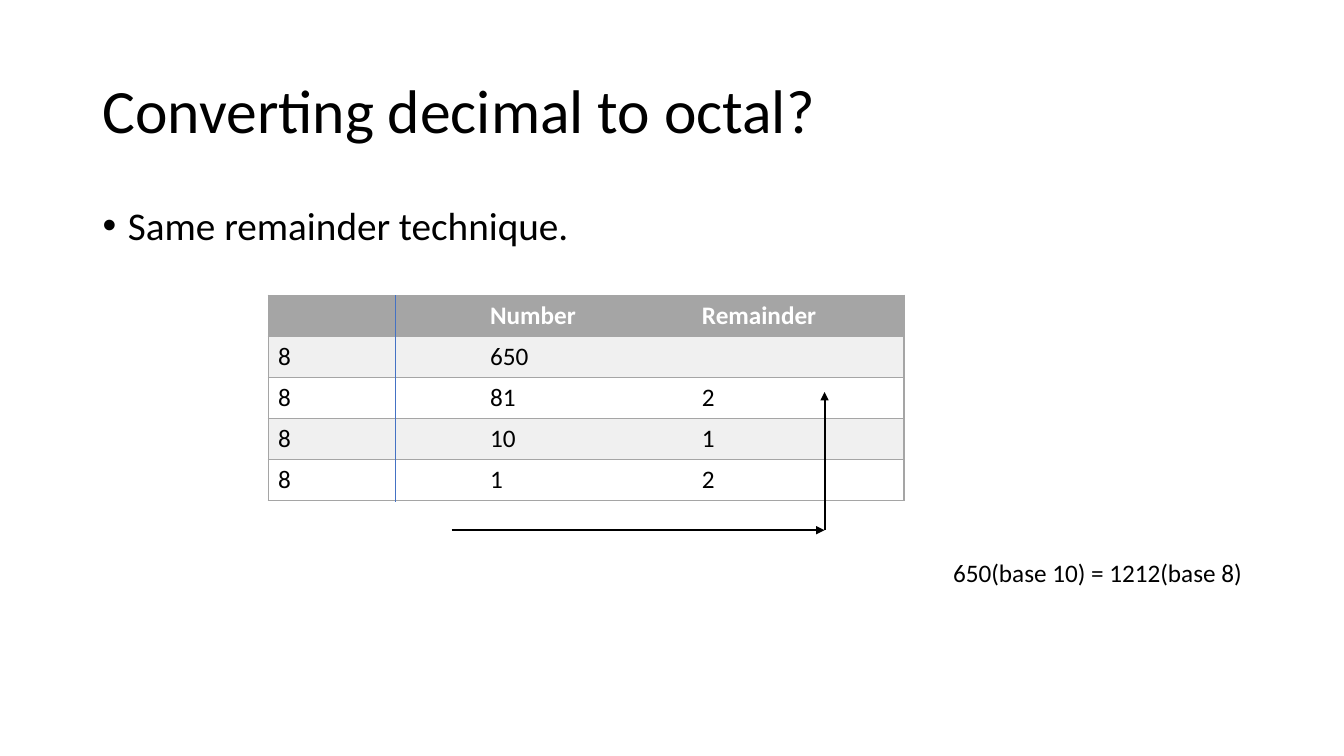
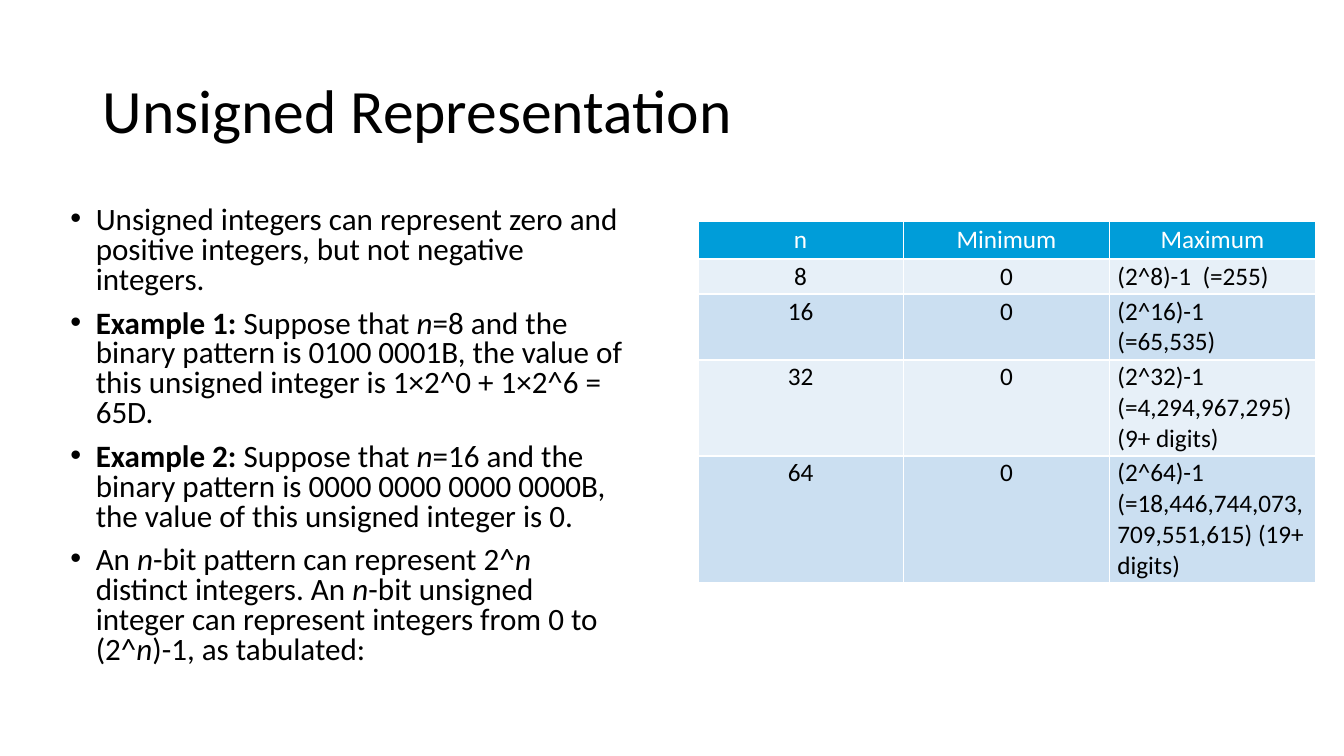
import lxml.etree
import pptx
import pptx.dml.color
import pptx.enum.shapes
import pptx.enum.text
import pptx.oxml.ns
import pptx.util

Cm = pptx.util.Cm
Pt = pptx.util.Pt
Align = pptx.enum.text.PP_ALIGN
qn = pptx.oxml.ns.qn

BLACK, WHITE, GREY, LIGHT_GREY = "000000", "FFFFFF", "A5A5A5", "F0F0F0"
BLUE, PALE_BLUE, MID_BLUE, RULE_BLUE = "009DD9", "E7F0F8", "CBDFF1", "4472C4"
PLAIN_TABLE_STYLE = "{2D5ABB26-0587-4C30-8999-92F81FD0307C}"


def rgb(value):
    return pptx.dml.color.RGBColor.from_string(value)


def add_xml(parent, tag, **attributes):
    return lxml.etree.SubElement(parent, qn(tag), attributes)


class Deck:
    """Holds the presentation, its style and the slide being built."""

    font = "Calibri"
    text_size = 18
    title_size = 44
    title_box = (2.33, 1.02, 29.21, 3.68)

    def __init__(self):
        self.presentation = pptx.Presentation()
        self.presentation.slide_width = Cm(33.87)
        self.presentation.slide_height = Cm(19.05)
        self.slide = None

    def add_slide(self, title):
        layout = self.presentation.slide_layouts[1]
        self.slide = self.presentation.slides.add_slide(layout)
        shape = self.slide.shapes.title
        frame = self.place(shape, self.title_box)
        frame.vertical_anchor = pptx.enum.text.MSO_ANCHOR.MIDDLE
        paragraph = frame.paragraphs[0]
        paragraph.alignment = Align.LEFT
        paragraph.line_spacing = 0.9
        self.add_run(paragraph, title, self.title_size)

    def place(self, shape, box):
        """Move a text shape to a box in centimetres and return its text frame."""
        shape.left, shape.top, shape.width, shape.height = map(Cm, box)
        shape.text_frame.word_wrap = True
        shape.text_frame.auto_size = pptx.enum.text.MSO_AUTO_SIZE.NONE
        return shape.text_frame

    def add_run(self, paragraph, text, size=text_size, color=BLACK, style=""):
        """Add a run; style may contain b for bold and i for italic."""
        run = paragraph.add_run()
        run.text = text
        run.font.name = self.font
        run.font.size = Pt(size)
        run.font.color.rgb = rgb(color)
        run.font.bold = "b" in style
        run.font.italic = "i" in style

    def add_bullets(self, box, items, size, line_spacing):
        """Fill the body placeholder; each item is a list of (text, style) runs."""
        frame = self.place(self.slide.placeholders[1], box)
        for index, runs in enumerate(items):
            paragraph = frame.add_paragraph() if index else frame.paragraphs[0]
            paragraph.alignment = Align.LEFT
            paragraph.line_spacing = line_spacing
            paragraph.space_before = Pt(10)
            properties = paragraph._p.get_or_add_pPr()
            properties.set("marL", str(Cm(0.64)))
            properties.set("indent", str(-Cm(0.64)))
            add_xml(properties, "a:buFont", typeface="Arial")
            add_xml(properties, "a:buChar", char="•")
            for text, style in runs:
                self.add_run(paragraph, text, size, style=style)

    def add_text(self, box, text):
        shape = self.slide.shapes.add_textbox(*map(Cm, box))
        frame = self.place(shape, box)
        self.add_run(frame.paragraphs[0], text)

    def add_line(self, start, end, color=BLACK, width=1.5, arrow=True):
        connector = self.slide.shapes.add_connector(
            pptx.enum.shapes.MSO_CONNECTOR.STRAIGHT, *map(Cm, start + end))
        connector.line.color.rgb = rgb(color)
        connector.line.width = Pt(width)
        if arrow:
            add_xml(connector.line._get_or_add_ln(), "a:tailEnd", type="triangle")
        add_xml(connector._element.spPr, "a:effectLst")

    def add_table(self, position, column_width, row_heights, rows):
        """Add an unstyled table and yield (row, column, cell, text) for each cell."""
        width = column_width * len(rows[0])
        table = self.slide.shapes.add_table(
            len(rows), len(rows[0]),
            *map(Cm, position + (width, sum(row_heights)))).table
        table._tbl.tblPr.find(qn("a:tableStyleId")).text = PLAIN_TABLE_STYLE
        for column in table.columns:
            column.width = Cm(column_width)
        for row, height in zip(table.rows, row_heights):
            row.height = Cm(height)
        for row_index, texts in enumerate(rows):
            for column_index, text in enumerate(texts):
                cell = table.cell(row_index, column_index)
                yield row_index, column_index, cell, text

    def format_cell(self, cell, text, fill, color=BLACK, style="",
                    alignment=Align.LEFT, margins=(0.25, 0.13),
                    border=GREY, border_width=1, sides="LRTB"):
        """Fill, border and write a cell; margins are (horizontal, vertical)."""
        properties = cell._tc.get_or_add_tcPr()
        for side in sides:
            line = add_xml(properties, "a:ln" + side, w=str(Pt(border_width)))
            add_xml(add_xml(line, "a:solidFill"), "a:srgbClr", val=border)
        cell.fill.solid()
        cell.fill.fore_color.rgb = rgb(fill)
        cell.margin_left = cell.margin_right = Cm(margins[0])
        cell.margin_top = cell.margin_bottom = Cm(margins[1])
        paragraph = cell.text_frame.paragraphs[0]
        paragraph.alignment = alignment
        if text:
            self.add_run(paragraph, text, color=color, style=style)


def build_octal_slide(deck):
    deck.add_slide("Converting decimal to octal?")
    deck.add_bullets((2.33, 5.08, 29.21, 12.09),
                     [[("Same remainder technique.", "")]], 28, 0.9)
    rows = [
        ("", "Number", "Remainder"),
        ("8", "650", ""),
        ("8", "81", "2"),
        ("8", "10", "1"),
        ("8", "1", "2"),
    ]
    outer_sides = ("LTB", "TB", "RTB")
    cells = deck.add_table((6.76, 7.44), 5.34, [1.03] * len(rows), rows)
    for row, column, cell, text in cells:
        if row == 0:
            look = {"fill": GREY, "color": WHITE, "style": "b"}
        else:
            look = {"fill": LIGHT_GREY if row % 2 else WHITE}
        deck.format_cell(cell, text, sides=outer_sides[column], **look)

    corner = (20.78, 13.36)
    deck.add_line((9.96, 7.44), (9.96, 12.65), RULE_BLUE, 0.5, arrow=False)
    deck.add_line((11.38, 13.36), corner)
    deck.add_line(corner, (20.78, 9.88))
    deck.add_text((23.77, 13.92, 8.08, 1.02), "650(base 10) = 1212(base 8)")


def build_unsigned_slide(deck):
    deck.add_slide("Unsigned Representation")
    items = [
        [("Unsigned integers can represent zero and positive integers, "
          "but not negative integers. ", "")],
        [("Example 1:", "b"), (" Suppose that ", ""), ("n", "i"),
         ("=8 and the binary pattern is 0100 0001B, the value of this "
          "unsigned integer is 1×2^0 + 1×2^6 = 65D.", "")],
        [("Example 2:", "b"), (" Suppose that ", ""), ("n", "i"),
         ("=16 and the binary pattern is 0000 0000 0000 0000B, the value of "
          "this unsigned integer is 0.", "")],
        [("An ", ""), ("n", "i"), ("-bit pattern can represent 2^", ""),
         ("n", "i"), (" distinct integers. An ", ""), ("n", "i"),
         ("-bit unsigned integer can represent integers from 0 to (2^", ""),
         ("n", "i"), (")-1, as tabulated:", "")],
    ]
    deck.add_bullets((1.52, 5.08, 14.45, 12.09), items, 22.2, 0.8)
    rows = [
        ("n", "Minimum", "Maximum"),
        ("8", "0", "(2^8)-1  (=255)"),
        ("16", "0", "(2^16)-1 (=65,535)"),
        ("32", "0", "(2^32)-1 (=4,294,967,295) (9+ digits)"),
        ("64", "0", "(2^64)-1 (=18,446,744,073,709,551,615) (19+ digits)"),
    ]
    row_heights = [0.86, 0.76, 0.76, 2.11, 2.11]
    cells = deck.add_table((17.58, 5.56), 5.19, row_heights, rows)
    for row, column, cell, text in cells:
        if row == 0:
            look = {"fill": BLUE, "color": WHITE, "margins": (0.25, 0.1)}
        else:
            look = {"fill": PALE_BLUE if row % 2 else MID_BLUE,
                    "margins": (0.2, 0.05)}
        left_aligned = row > 0 and column == 2
        deck.format_cell(cell, text, border=WHITE, border_width=1.5,
                         alignment=Align.LEFT if left_aligned else Align.CENTER,
                         **look)


def main():
    deck = Deck()
    build_octal_slide(deck)
    build_unsigned_slide(deck)
    deck.presentation.save("out.pptx")


if __name__ == "__main__":
    main()
